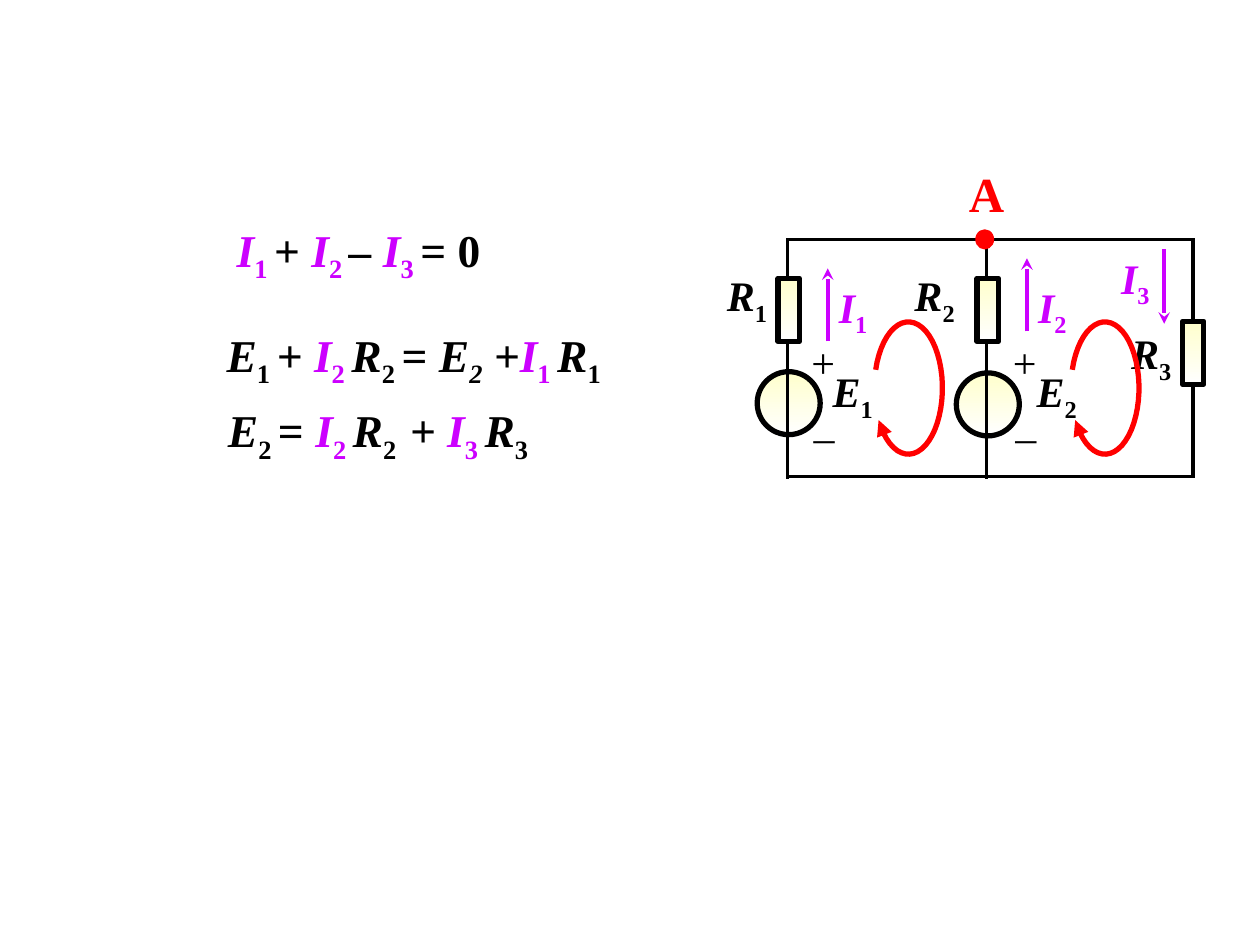
from math import cos, radians, sin

from lxml import etree
from pptx import Presentation
from pptx.dml.color import RGBColor
from pptx.enum.shapes import MSO_CONNECTOR, MSO_SHAPE
from pptx.enum.text import MSO_ANCHOR, MSO_AUTO_SIZE
from pptx.oxml.ns import qn
from pptx.util import Inches, Pt

STRAIGHT = MSO_CONNECTOR.STRAIGHT
OVAL, RECTANGLE = MSO_SHAPE.OVAL, MSO_SHAPE.RECTANGLE
BLACK, PURPLE, RED = "000000", "CC00FF", "FF0000"
CREAM, WHITE = "FFFFCC", "FFFFFF"
LABEL_FORMAT = {"auto_size": MSO_AUTO_SIZE.SHAPE_TO_FIT_TEXT,
                "vertical_anchor": MSO_ANCHOR.MIDDLE}

prs = Presentation()
prs.slide_width, prs.slide_height = Inches(10), Inches(7.5)
slide = prs.slides.add_slide(prs.slide_layouts[6])
shapes = slide.shapes


def add_label(box, runs, size=24, wrap=False):
    """Run styles: i italic, s subscript, p purple, r red, n not bold, w wide space."""
    frame = shapes.add_textbox(*map(Inches, box)).text_frame
    for name, value in {**LABEL_FORMAT, "word_wrap": wrap}.items():
        setattr(frame, name, value)
    for text, style in runs:
        run = frame.paragraphs[0].add_run()
        run.text = text
        color = PURPLE if "p" in style else RED if "r" in style else BLACK
        font_format = {"name": "Times New Roman", "size": Pt(size),
                       "bold": "n" not in style, "italic": "i" in style}
        for name, value in font_format.items():
            setattr(run.font, name, value)
        run.font.color.rgb = RGBColor.from_string(color)
        if "s" in style:
            run.font._element.set("baseline", "-25000")
        if "w" in style:
            run.font._element.set("spc", "400")


def add_wire(x1, y1, x2, y2, color=BLACK, width=2, head=None):
    wire = shapes.add_connector(STRAIGHT, *map(Inches, (x1, y1, x2, y2)))
    wire.line.width = Pt(width)
    wire.line.color.rgb = RGBColor.from_string(color)
    if head:
        etree.SubElement(wire.line._get_or_add_ln(), qn("a:tailEnd"), type=head)
    etree.SubElement(wire._element.spPr, qn("a:effectLst"))
    return wire


# Kirchhoff equations
add_label((1.78, 1.74, 2.83, 0.53), [
    ("I", "pi"), ("1 ", "ps"), ("+ ", ""), ("I", "pi"), ("2 ", "ps"),
    ("– ", "i"), ("I", "pi"), ("3 ", "ps"), ("= 0", "")], 26, True)
add_label((1.7, 2.57, 3.36, 0.54), [
    ("E", "i"), ("1 ", "s"), ("+ ", "i"), ("I", "pi"), ("2 ", "ps"),
    ("R", "i"), ("2 ", "s"), ("= ", ""), ("E", "i"), ("2", "is"),
    (" +", "i"), ("I", "pi"), ("1 ", "ps"), ("R", "i"), ("1", "s")], 26)
add_label((1.71, 3.17, 2.82, 0.54), [
    ("E", "i"), ("2 ", "s"), ("= ", ""), ("I", "pi"), ("2 ", "ps"),
    ("R", "i"), ("2", "s"), (" ", "sw"), ("+ ", "i"), ("I", "pi"),
    ("3 ", "ps"), ("R", "i"), ("3", "s")], 26)

# Voltage sources, then the wires that run through them
sources = [shapes.add_shape(OVAL, Inches(x), Inches(y), Inches(0.5), Inches(0.5))
           for x, y in ((6.01, 2.95), (7.59, 2.96))]
for x in (6.25, 7.83):
    add_wire(x, 1.89, x, 3.8)
for y in (1.9, 3.78):
    add_wire(6.25, y, 9.48, y)

# Resistors, given by centre
resistors = [shapes.add_shape(RECTANGLE, Inches(x - 0.085), Inches(y - 0.25),
                              Inches(0.17), Inches(0.5))
             for x, y in ((6.26, 2.46), (7.84, 2.46), (9.47, 2.8))]
for part in sources + resistors:
    part.shadow.inherit = False
    part.fill.gradient()
    part.fill.gradient_angle = 270
    for stop, position, color in zip(part.fill.gradient_stops, (0, 1), (CREAM, WHITE)):
        stop.position = position
        stop.color.rgb = RGBColor.from_string(color)
    part.line.color.rgb = RGBColor.from_string(BLACK)
    part.line.width = Pt(3)

# Right branch, joined to its resistor
add_wire(9.47, 1.89, 9.47, 2.55).end_connect(resistors[2], 0)
add_wire(9.47, 3.05, 9.47, 3.79).begin_connect(resistors[2], 2)

# Current arrows
for x, start, end in ((6.57, 2.71, 2.13), (8.15, 2.63, 2.05), (9.24, 1.98, 2.57)):
    add_wire(x, start, x, end, PURPLE, 2.25, "stealth")

# Component labels
for letter, number, x, y in (("R", "1", 5.67, 2.12), ("R", "2", 7.16, 2.12),
                             ("R", "3", 8.88, 2.58), ("E", "1", 6.51, 2.88),
                             ("E", "2", 8.13, 2.88)):
    add_label((x, y, 0.53, 0.5), [(letter, "i"), (number, "s")])
for number, x, y in (("1", 6.56, 2.21), ("2", 8.14, 2.21), ("3", 8.8, 1.98)):
    add_label((x, y, 0.44, 0.5), [("I", "pi"), (number, "ps")])
for x in (6.34, 7.94):
    add_label((x, 2.62, 0.39, 0.5), [("+", "n")])
    add_label((x + 0.02, 3.21, 0.37, 0.5), [("–", "n")])

# Loop directions: open clockwise ellipses
for center_x in (7.21, 8.77):
    points = [(Inches(center_x + 0.27 * cos(radians(angle))),
               Inches(3.08 + 0.525 * sin(radians(angle))))
              for angle in range(196, 518, 7)]
    builder = shapes.build_freeform(*points[0])
    builder.add_line_segments(points[1:], close=False)
    loop = builder.convert_to_shape()
    loop.shadow.inherit = False
    loop.fill.background()
    loop.line.color.rgb = RGBColor.from_string(RED)
    loop.line.width = Pt(3)
    etree.SubElement(loop.line._get_or_add_ln(), qn("a:tailEnd"), type="triangle")

# Node A
node = shapes.add_shape(OVAL, Inches(7.74), Inches(1.82), Inches(0.15), Inches(0.16))
node.shadow.inherit = False
node.fill.solid()
node.fill.fore_color.rgb = RGBColor.from_string(RED)
node.line.fill.background()
add_label((7.59, 1.25, 0.48, 0.57), [("A", "r")], 28)

prs.save("out.pptx")
